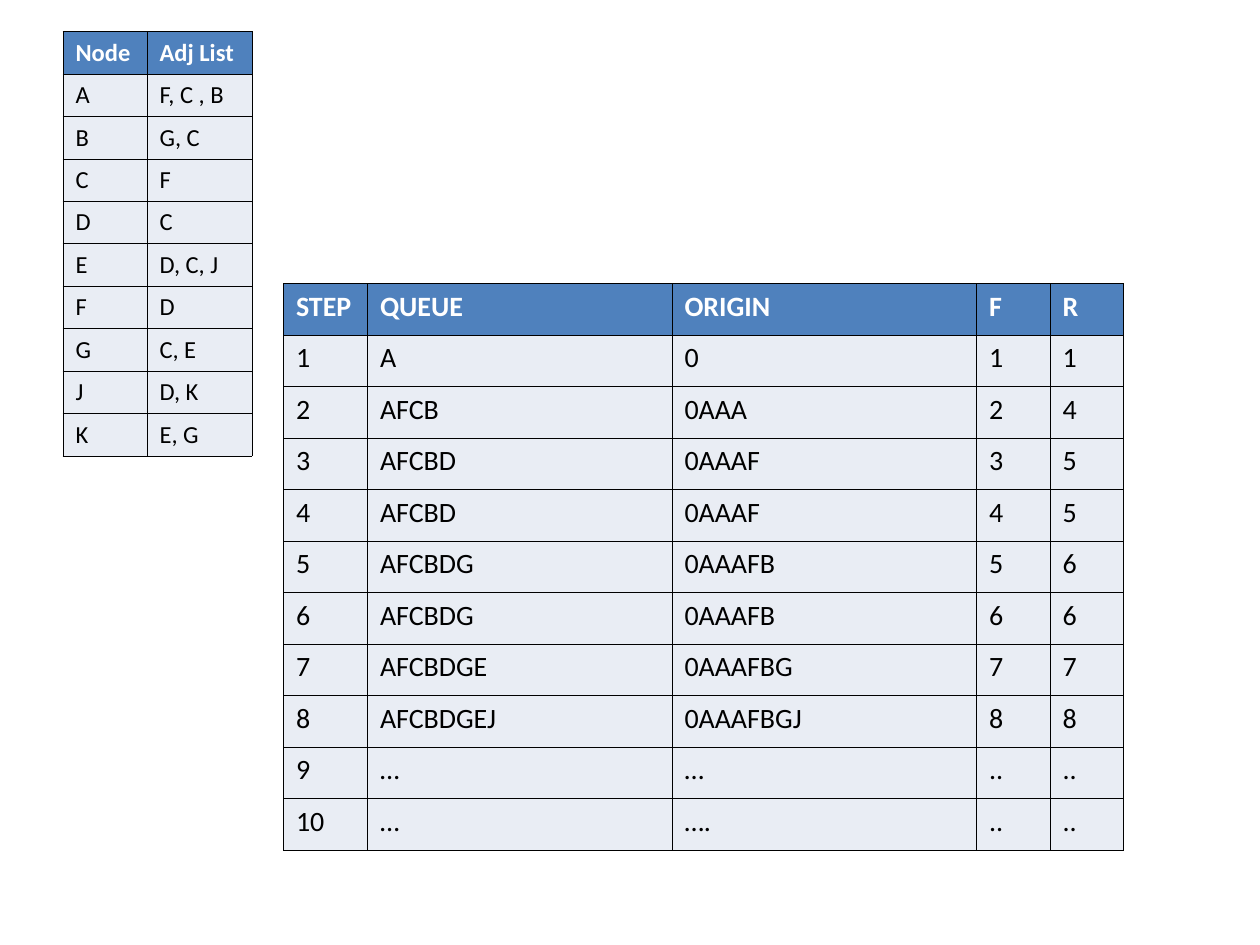
from dataclasses import dataclass

from lxml import etree
from pptx import Presentation
from pptx.dml.color import RGBColor
from pptx.oxml import ns
from pptx.util import Pt

WHITE = RGBColor(0xFF, 0xFF, 0xFF)
BLACK = RGBColor(0x00, 0x00, 0x00)
HEADER_BLUE = RGBColor(0x4F, 0x81, 0xBD)
BODY_GREY = RGBColor(0xE9, 0xED, 0xF4)
FONT_NAME = "Calibri"
BORDER_WIDTH = Pt(0.45)


@dataclass(frozen=True)
class Grid:
    left: float
    top: float
    column_widths: tuple[float, ...]
    row_height: float
    font_size: float
    rows: tuple[tuple[str, ...], ...]


ADJACENCY = Grid(
    36, 18, (48, 60), 24.28, 14,
    (
        ("Node", "Adj List"),
        ("A", "F, C , B"),
        ("B", "G, C"),
        ("C", "F"),
        ("D", "C"),
        ("E", "D, C, J"),
        ("F", "D"),
        ("G", "C, E"),
        ("J", "D, K"),
        ("K", "E, G"),
    ),
)

SEARCH_STEPS = Grid(
    162, 162, (48, 174, 174, 42, 42), 29.45, 16,
    (
        ("STEP", "QUEUE", "ORIGIN", "F", "R"),
        ("1", "A", "0", "1", "1"),
        ("2", "AFCB", "0AAA", "2", "4"),
        ("3", "AFCBD", "0AAAF", "3", "5"),
        ("4", "AFCBD", "0AAAF", "4", "5"),
        ("5", "AFCBDG", "0AAAFB", "5", "6"),
        ("6", "AFCBDG", "0AAAFB", "6", "6"),
        ("7", "AFCBDGE", "0AAAFBG", "7", "7"),
        ("8", "AFCBDGEJ", "0AAAFBGJ", "8", "8"),
        ("9", "…", "…", "..", ".."),
        ("10", "…", "….", "..", ".."),
    ),
)


def set_borders(cell) -> None:
    properties = cell._tc.get_or_add_tcPr()
    for index, side in enumerate(("lnL", "lnR", "lnT", "lnB")):
        line = etree.Element(ns.qn(f"a:{side}"), w=str(int(BORDER_WIDTH)))
        fill = etree.SubElement(line, ns.qn("a:solidFill"))
        etree.SubElement(fill, ns.qn("a:srgbClr"), val=str(BLACK))
        properties.insert(index, line)


def format_cell(cell, content: str, font_size: float, is_header: bool) -> None:
    cell.margin_left = cell.margin_right = Pt(7.2)
    cell.margin_top = cell.margin_bottom = Pt(3.6)
    cell.fill.solid()
    cell.fill.fore_color.rgb = HEADER_BLUE if is_header else BODY_GREY
    set_borders(cell)
    run = cell.text_frame.paragraphs[0].add_run()
    run.text = content
    run.font.name = FONT_NAME
    run.font.size = Pt(font_size)
    run.font.bold = is_header
    run.font.color.rgb = WHITE if is_header else BLACK


def draw_grid(slide, grid: Grid) -> None:
    table = slide.shapes.add_table(
        len(grid.rows), len(grid.column_widths),
        Pt(grid.left), Pt(grid.top),
        Pt(sum(grid.column_widths)), Pt(grid.row_height * len(grid.rows)),
    ).table
    for column, width in zip(table.columns, grid.column_widths):
        column.width = Pt(width)
    for row_index, contents in enumerate(grid.rows):
        table.rows[row_index].height = Pt(grid.row_height)
        for column_index, content in enumerate(contents):
            cell = table.cell(row_index, column_index)
            format_cell(cell, content, grid.font_size, row_index == 0)


def main() -> None:
    presentation = Presentation()
    presentation.slide_width = Pt(720)
    presentation.slide_height = Pt(540)
    slide = presentation.slides.add_slide(presentation.slide_layouts[6])
    for grid in (ADJACENCY, SEARCH_STEPS):
        draw_grid(slide, grid)
    presentation.save("out.pptx")


if __name__ == "__main__":
    main()
